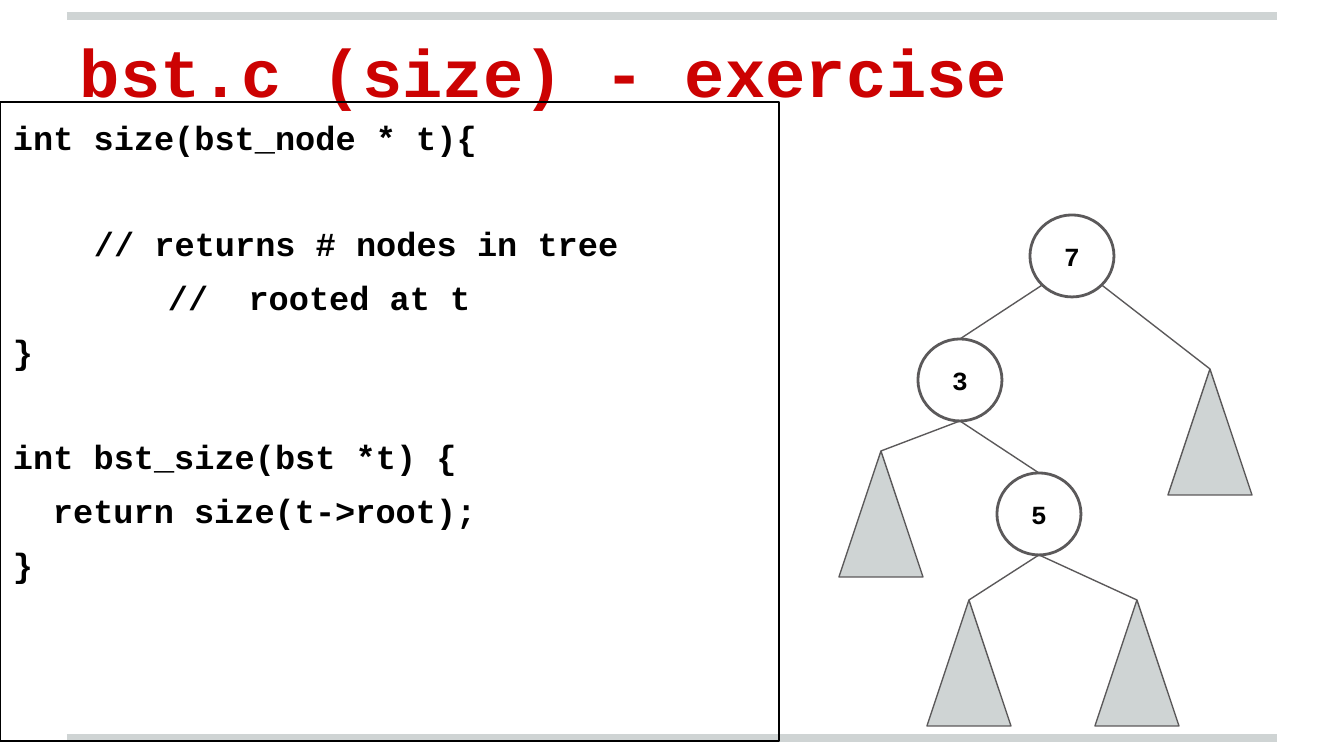
from pptx import Presentation
from pptx.dml.color import RGBColor
from pptx.enum.shapes import MSO_CONNECTOR, MSO_SHAPE
from pptx.enum.text import MSO_ANCHOR, PP_ALIGN
from pptx.util import Pt
from lxml import etree

EMU_PER_PX = 914400 / 134.4
A = "{http://schemas.openxmlformats.org/drawingml/2006/main}"

STRAIGHT = MSO_CONNECTOR.STRAIGHT
RECT, OVAL = MSO_SHAPE.RECTANGLE, MSO_SHAPE.OVAL
TRIANGLE = MSO_SHAPE.ISOSCELES_TRIANGLE
TOP, MIDDLE = MSO_ANCHOR.TOP, MSO_ANCHOR.MIDDLE
LEFT, CENTER = PP_ALIGN.LEFT, PP_ALIGN.CENTER

BLACK = RGBColor(0x00, 0x00, 0x00)
RED = RGBColor(0xCC, 0x02, 0x02)
PALE = RGBColor(0xCF, 0xD4, 0xD4)
GRAY = RGBColor(0x5B, 0x59, 0x5A)

FONT = "Courier New"
INSET = 13
NODE_W, NODE_H = 84, 82
SUBTREE_W, SUBTREE_H = 84, 126
DIAGONAL = 0.71

# text, indent in px, space before in points (larger after an empty code line)
CODE = [
    ("int size(bst_node * t){", 0, 6),
    ("// returns # nodes in tree", 81, 33.6),
    ("//  rooted at t", 155, 6),
    ("}", 0, 6),
    ("int bst_size(bst *t) {", 0, 33.6),
    ("return size(t->root);", 40, 6),
    ("}", 0, 6),
]

# key: centre of the circle
NODES = {"7": (1072, 256), "3": (960, 380), "5": (1039, 514)}
# key: apex of the triangle
SUBTREES = {"right of 7": (1210, 369), "left of 3": (881, 451),
            "left of 5": (969, 600), "right of 5": (1137, 600)}
# parent, child, side of the parent's circle (-1 left, 0 bottom, 1 right)
EDGES = [("7", "3", -1), ("7", "right of 7", 1),
         ("3", "left of 3", 0), ("3", "5", 0),
         ("5", "left of 5", 0), ("5", "right of 5", 0)]


def px(n):
    return round(n * EMU_PER_PX)


def add_line(s, x1, y1, x2, y2, color=GRAY, width=0.75):
    line = s.shapes.add_connector(STRAIGHT, px(x1), px(y1), px(x2), px(y2))
    line.line.color.rgb = color
    line.line.width = Pt(width)
    etree.SubElement(line._element.spPr, A + "effectLst")
    return line


def add_shape(s, kind, x, y, w, h, fill=None, line=GRAY, width=0.75):
    sp = s.shapes.add_shape(kind, px(x), px(y), px(w), px(h))
    sp.shadow.inherit = False
    if fill is None:
        sp.fill.background()
    else:
        sp.fill.solid()
        sp.fill.fore_color.rgb = fill
    sp.line.color.rgb = line
    sp.line.width = Pt(width)
    return sp


def set_frame(sp, anchor):
    tf = sp.text_frame
    tf.word_wrap = True
    tf.vertical_anchor = anchor
    tf.margin_left = tf.margin_right = px(INSET)
    tf.margin_top = tf.margin_bottom = px(INSET)
    return tf


def write(p, text, size, color=BLACK, align=LEFT, indent=0, before=0):
    p.alignment = align
    p.space_before = Pt(before)
    if indent:
        p._p.get_or_add_pPr().set("marL", str(px(indent)))
    r = p.add_run()
    r.text = text
    r.font.name = FONT
    r.font.size = Pt(size)
    r.font.bold = True
    r.font.color.rgb = color


def add_title(s, text):
    sp = s.shapes.add_textbox(px(67), px(8), px(1210), px(126))
    write(set_frame(sp, MIDDLE).paragraphs[0], text, 36, color=RED)


def add_code(s):
    tf = set_frame(add_shape(s, RECT, 0, 102, 779, 639, line=BLACK), TOP)
    for i, (text, indent, before) in enumerate(CODE):
        p = tf.add_paragraph() if i else tf.paragraphs[0]
        write(p, text, 18, indent=indent, before=before)
        p.line_spacing = 1.06


def add_node(s, key, cx, cy):
    sp = add_shape(s, OVAL, cx - NODE_W / 2, cy - NODE_H / 2, NODE_W, NODE_H,
                   width=1.5)
    write(set_frame(sp, MIDDLE).paragraphs[0], key, 14, align=CENTER)
    return sp


def add_subtree(s, x, y):
    return add_shape(s, TRIANGLE, x - SUBTREE_W / 2, y, SUBTREE_W, SUBTREE_H,
                     fill=PALE)


def add_edge(s, parent, side, child):
    """Join a point on the parent's circle to the top of the child."""
    cx, cy = NODES[parent]
    drop = NODE_H / 2 * (DIAGONAL if side else 1)
    x, y = cx + side * NODE_W / 2 * DIAGONAL, cy + drop
    add_line(s, x, y, x, y).end_connect(child, 0)


def add_tree(s):
    shapes = {key: add_node(s, key, *at) for key, at in NODES.items()}
    shapes.update({key: add_subtree(s, *at) for key, at in SUBTREES.items()})
    for parent, child, side in EDGES:
        add_edge(s, parent, side, shapes[child])


def main():
    prs = Presentation()
    prs.slide_width, prs.slide_height = px(1344), px(756)
    s = prs.slides.add_slide(prs.slide_layouts[6])
    for y in (738, 16):
        add_line(s, 67, y, 1277, y, color=PALE, width=4)
    add_title(s, "bst.c (size) - exercise")
    add_code(s)
    add_tree(s)
    prs.save("out.pptx")


if __name__ == "__main__":
    main()
